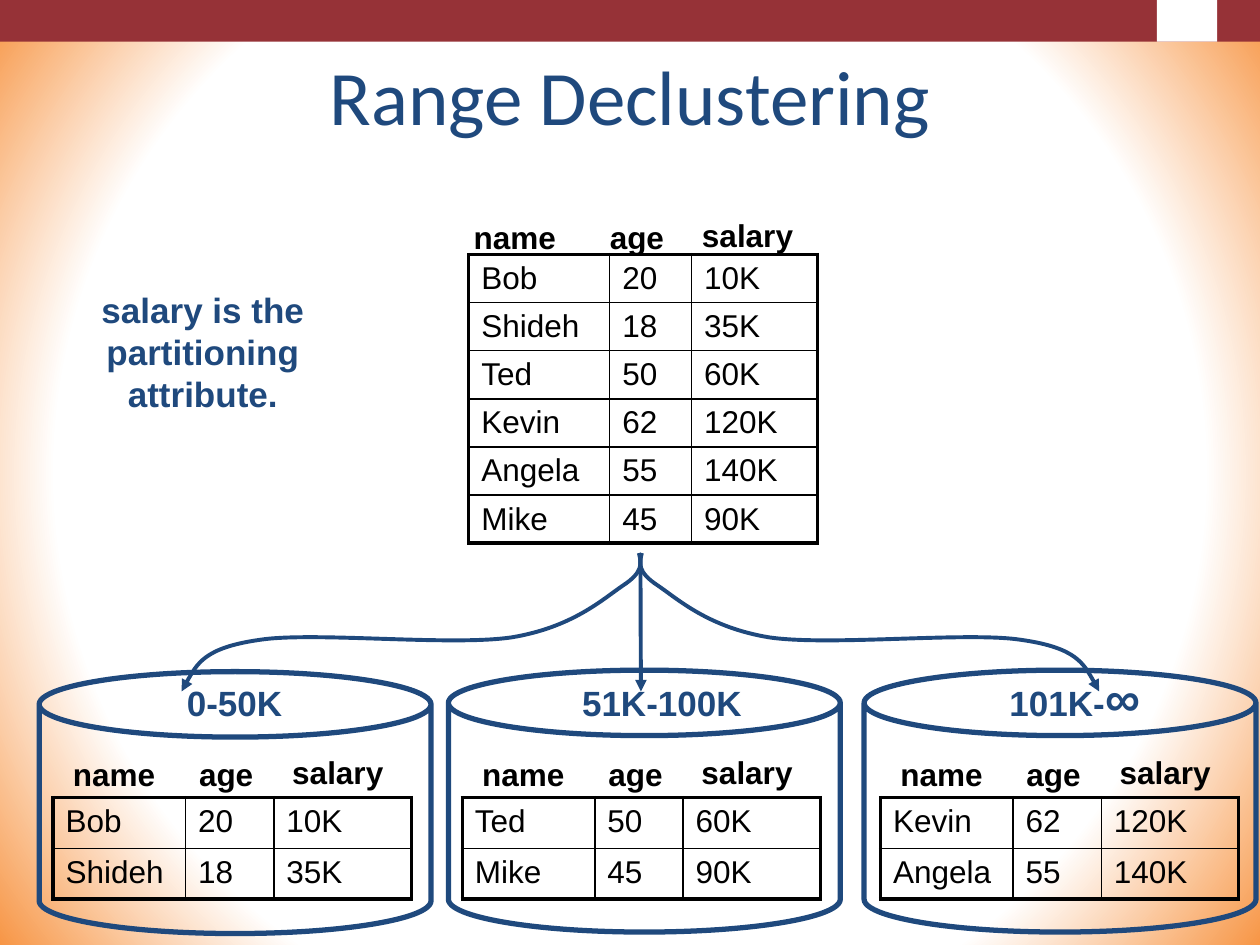
from dataclasses import dataclass
from typing import Any

import pptx
import pptx.dml.color
import pptx.enum.shapes
import pptx.enum.text
import pptx.oxml
import pptx.oxml.ns
import pptx.shapes.autoshape
import pptx.slide
import pptx.text.text
import pptx.util
from lxml import etree

Cm = pptx.util.Cm
Pt = pptx.util.Pt
qn = pptx.oxml.ns.qn
Shapes = pptx.enum.shapes.MSO_SHAPE


@dataclass(frozen=True)
class Theme:
    navy: str = "1F497D"
    black: str = "000000"
    white: str = "FFFFFF"
    band: str = "963237"
    glow: str = "F79646"
    title_font: str = "Calibri"
    body_font: str = "Arial"
    title_size: int = 44
    infinity_size: int = 28
    note_size: int = 20
    table_size: int = 18
    cylinder_line: float = 3
    thick_line: float = 2.25
    thin_line: float = 1


THEME = Theme()


@dataclass(frozen=True)
class Box:
    left: float
    top: float
    width: float
    height: float

    def lengths(self) -> tuple:
        return tuple(Cm(v) for v in (self.left, self.top, self.width, self.height))


@dataclass(frozen=True)
class Layout:
    columns: tuple[float, ...]
    row_height: float
    label_offsets: tuple[float, ...]
    label_rise: float


@dataclass(frozen=True)
class Partition:
    cylinder: Box
    table_left: float
    rows: tuple[tuple[str, ...], ...]
    caption: Box
    runs: tuple[tuple[str, int], ...]


LABELS = (("name", 2.16, 0), ("age", 1.6, 0), ("salary", 2.34, 0.03))
RELATION_LAYOUT = Layout((2.84, 1.65, 2.54), 0.97, (-0.15, 2.59, 4.45), 0.86)
PARTITION_LAYOUT = Layout((2.67, 1.78, 2.77), 1.02, (0.15, 2.69, 4.57), 0.99)
PARTITION_TABLE_TOP = 16.08
BOB = ("Bob", "20", "10K")
SHIDEH = ("Shideh", "18", "35K")
TED = ("Ted", "50", "60K")
KEVIN = ("Kevin", "62", "120K")
ANGELA = ("Angela", "55", "140K")
MIKE = ("Mike", "45", "90K")
PARTITIONS = (
    Partition(Box(0.79, 13.54, 7.9, 5.28), 1.07, (BOB, SHIDEH),
              Box(3.51, 13.61, 2.44, 1.09), (("0-50K", THEME.note_size),)),
    Partition(Box(9.04, 13.51, 7.9, 5.28), 9.32, (TED, MIKE),
              Box(11.48, 13.61, 3.73, 1.09), (("51K-100K", THEME.note_size),)),
    Partition(Box(17.42, 13.51, 7.9, 5.28), 17.75, (KEVIN, ANGELA),
              Box(20.09, 13.34, 3.15, 1.45),
              (("101K-", THEME.note_size), ("∞", THEME.infinity_size))),
)
LEFT_CURVE = (
    (12.88, 11.15),
    (12.93, 11.35), (12.98, 11.53), (12.55, 11.81),
    (12.14, 12.09), (11.53, 12.65), (10.31, 12.85),
    (9.07, 13.03), (6.32, 12.73), (5.23, 12.9),
    (4.11, 13.06), (3.89, 13.51), (3.66, 13.94),
)
MIRROR_SUM = 25.82


def color(value: str) -> pptx.dml.color.RGBColor:
    return pptx.dml.color.RGBColor.from_string(value)


def apply_format(target: Any, values: dict[str, Any]) -> None:
    for name, value in values.items():
        setattr(target, name, value)


def format_font(font: pptx.text.text.Font, size: float, value: str,
                bold: bool = False, name: str = THEME.body_font) -> None:
    apply_format(font, {"name": name, "size": Pt(size), "bold": bold})
    font.color.rgb = color(value)


def format_line(shape: Any, width: float) -> None:
    shape.line.width = Pt(width)
    shape.line.color.rgb = color(THEME.navy)


def add_arrowhead(shape: Any) -> None:
    line = shape.line._get_or_add_ln()
    etree.SubElement(line, qn("a:tailEnd"), type="triangle")


def add_background(slide: pptx.slide.Slide) -> None:
    stops = "".join(
        f'<a:gs pos="{position * 1000}"><a:srgbClr val="{value}"/></a:gs>'
        for position, value in ((0, THEME.white), (73, THEME.white), (100, THEME.glow)))
    background = pptx.oxml.parse_xml(
        f'<p:bg {pptx.oxml.ns.nsdecls("p", "a")}><p:bgPr><a:gradFill rotWithShape="1">'
        f'<a:gsLst>{stops}</a:gsLst><a:path path="circle">'
        '<a:fillToRect l="50000" t="50000" r="50000" b="50000"/></a:path>'
        '</a:gradFill><a:effectLst/></p:bgPr></p:bg>')
    slide._element.cSld.insert(0, background)


def add_panel(slide: pptx.slide.Slide, box: Box, value: str) -> None:
    shape = slide.shapes.add_shape(Shapes.RECTANGLE, *box.lengths())
    shape.shadow.inherit = False
    shape.fill.solid()
    shape.fill.fore_color.rgb = color(value)
    shape.line.fill.background()


def add_text(slide: pptx.slide.Slide, box: Box, runs: tuple[tuple[str, int], ...],
             value: str, wrap: bool = False) -> None:
    frame = slide.shapes.add_textbox(*box.lengths()).text_frame
    frame.word_wrap = wrap
    paragraph = frame.paragraphs[0]
    paragraph.alignment = pptx.enum.text.PP_ALIGN.CENTER
    for text, size in runs:
        run = paragraph.add_run()
        run.text = text
        format_font(run.font, size, value, bold=True)


def add_relation(slide: pptx.slide.Slide, left: float, top: float,
                 layout: Layout, rows: tuple[tuple[str, ...], ...]) -> None:
    box = Box(left, top, sum(layout.columns), layout.row_height * len(rows))
    table = slide.shapes.add_table(len(rows), len(layout.columns), *box.lengths()).table
    apply_format(table, {"first_row": False, "horz_banding": False})
    for column, width in zip(table.columns, layout.columns):
        column.width = Cm(width)
    for row_index, values in enumerate(rows):
        table.rows[row_index].height = Cm(layout.row_height)
        for column_index, text in enumerate(values):
            cell = table.cell(row_index, column_index)
            apply_format(cell, {"text": text, "margin_top": Cm(0.13), "margin_bottom": Cm(0.1)})
            format_font(cell.text_frame.paragraphs[0].runs[0].font, THEME.table_size, THEME.black)
            outer_edges = {
                "L": column_index == 0,
                "R": column_index == len(values) - 1,
                "T": row_index == 0,
                "B": row_index == len(rows) - 1,
            }
            properties = cell._tc.get_or_add_tcPr()
            for side, outer in outer_edges.items():
                width = THEME.thick_line if outer else THEME.thin_line
                border = etree.SubElement(properties, qn(f"a:ln{side}"), w=str(Pt(width)))
                fill = etree.SubElement(border, qn("a:solidFill"))
                etree.SubElement(fill, qn("a:srgbClr"), val=THEME.black)
            cell.fill.background()
    for (text, width, lift), offset in zip(LABELS, layout.label_offsets):
        label = Box(left + offset, top - layout.label_rise - lift, width, 1.02)
        add_text(slide, label, ((text, THEME.table_size),), THEME.black)


def add_cylinder(slide: pptx.slide.Slide, box: Box) -> None:
    shape = slide.shapes.add_shape(Shapes.CAN, *box.lengths())
    shape.adjustments[0] = 0.25
    shape.shadow.inherit = False
    shape.fill.background()
    format_line(shape, THEME.cylinder_line)


def add_curve(slide: pptx.slide.Slide, points: tuple[tuple[float, float], ...]) -> None:
    start, *controls = [(Cm(x), Cm(y)) for x, y in points]
    builder = slide.shapes.build_freeform(*start)
    builder.add_line_segments(controls, close=False)
    shape = builder.convert_to_shape()
    segments = list(shape._element.iter(qn("a:lnTo")))
    for index in range(0, len(segments), 3):
        curve = etree.SubElement(segments[index].getparent(), qn("a:cubicBezTo"))
        for segment in segments[index:index + 3]:
            curve.append(segment[0])
            segment.getparent().remove(segment)
    shape.shadow.inherit = False
    shape.fill.background()
    format_line(shape, THEME.thick_line)
    add_arrowhead(shape)


def add_arrow(slide: pptx.slide.Slide) -> None:
    connector = slide.shapes.add_connector(
        pptx.enum.shapes.MSO_CONNECTOR.STRAIGHT, Cm(12.91), Cm(11.15), Cm(12.92), Cm(13.94))
    format_line(connector, THEME.thick_line)
    add_arrowhead(connector)
    etree.SubElement(connector._element.spPr, qn("a:effectLst"))


def add_title(slide: pptx.slide.Slide) -> None:
    title = slide.shapes.title
    box = Box(1.27, 0.76, 22.86, 2.21)
    apply_format(title, dict(zip(("left", "top", "width", "height"), box.lengths())))
    title.text_frame.text = "Range Declustering"
    apply_format(title.text_frame, {
        "vertical_anchor": pptx.enum.text.MSO_ANCHOR.BOTTOM,
        "auto_size": pptx.enum.text.MSO_AUTO_SIZE.NONE,
    })
    paragraph = title.text_frame.paragraphs[0]
    paragraph.alignment = pptx.enum.text.PP_ALIGN.CENTER
    format_font(paragraph.runs[0].font, THEME.title_size, THEME.navy, name=THEME.title_font)


def main() -> None:
    presentation = pptx.Presentation()
    apply_format(presentation, {"slide_width": Cm(25.4), "slide_height": Cm(19.05)})
    slide = presentation.slides.add_slide(presentation.slide_layouts[5])
    add_background(slide)
    add_panel(slide, Box(0, 0, 25.4, 0.84), THEME.band)
    add_panel(slide, Box(23.32, 0, 1.22, 0.84), THEME.white)
    add_title(slide)
    add_relation(slide, 9.45, 5.13, RELATION_LAYOUT, (BOB, SHIDEH, TED, KEVIN, ANGELA, MIKE))
    add_text(slide, Box(1.17, 5.69, 5.84, 2.79),
             (("salary is the partitioning attribute.", THEME.note_size),), THEME.navy, wrap=True)
    for partition in PARTITIONS:
        add_cylinder(slide, partition.cylinder)
    add_arrow(slide)
    add_curve(slide, LEFT_CURVE)
    add_curve(slide, tuple((MIRROR_SUM - x, y) for x, y in LEFT_CURVE))
    for partition in PARTITIONS:
        add_relation(slide, partition.table_left, PARTITION_TABLE_TOP,
                     PARTITION_LAYOUT, partition.rows)
        add_text(slide, partition.caption, partition.runs, THEME.navy)
    presentation.save("out.pptx")


if __name__ == "__main__":
    main()
